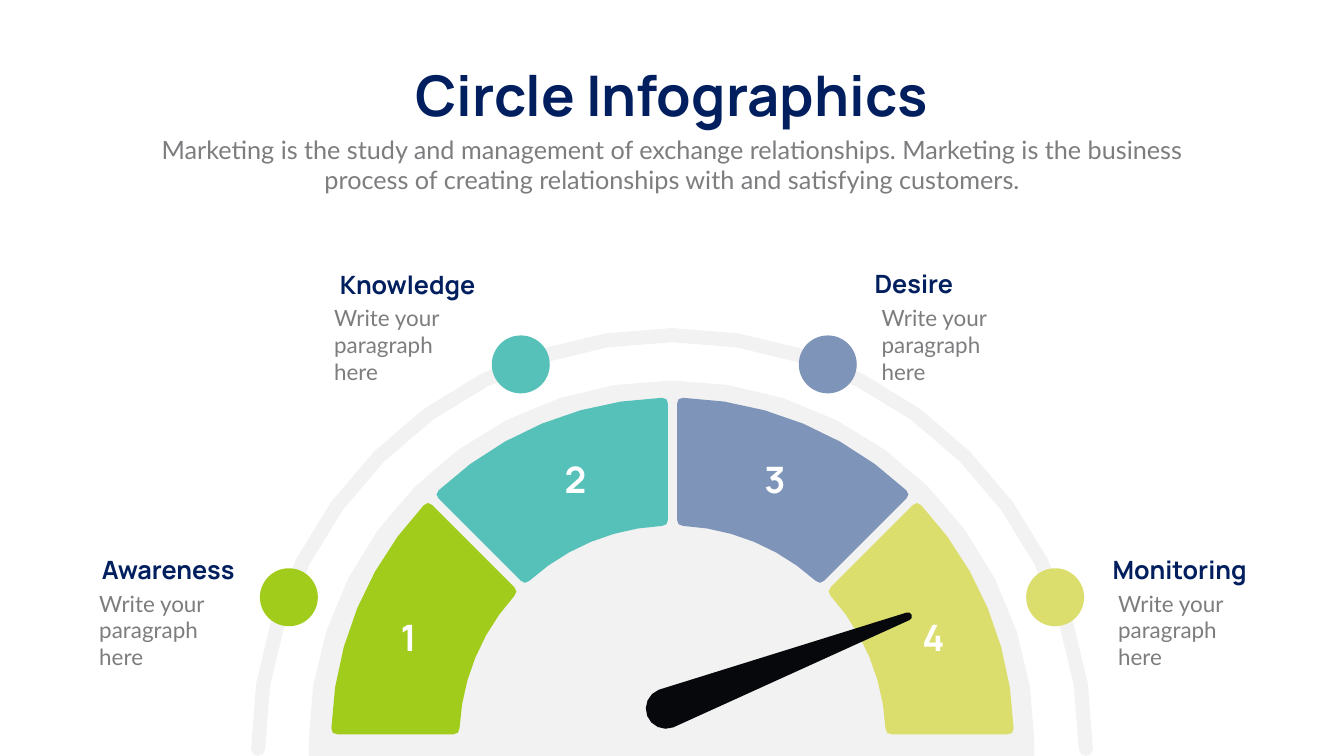
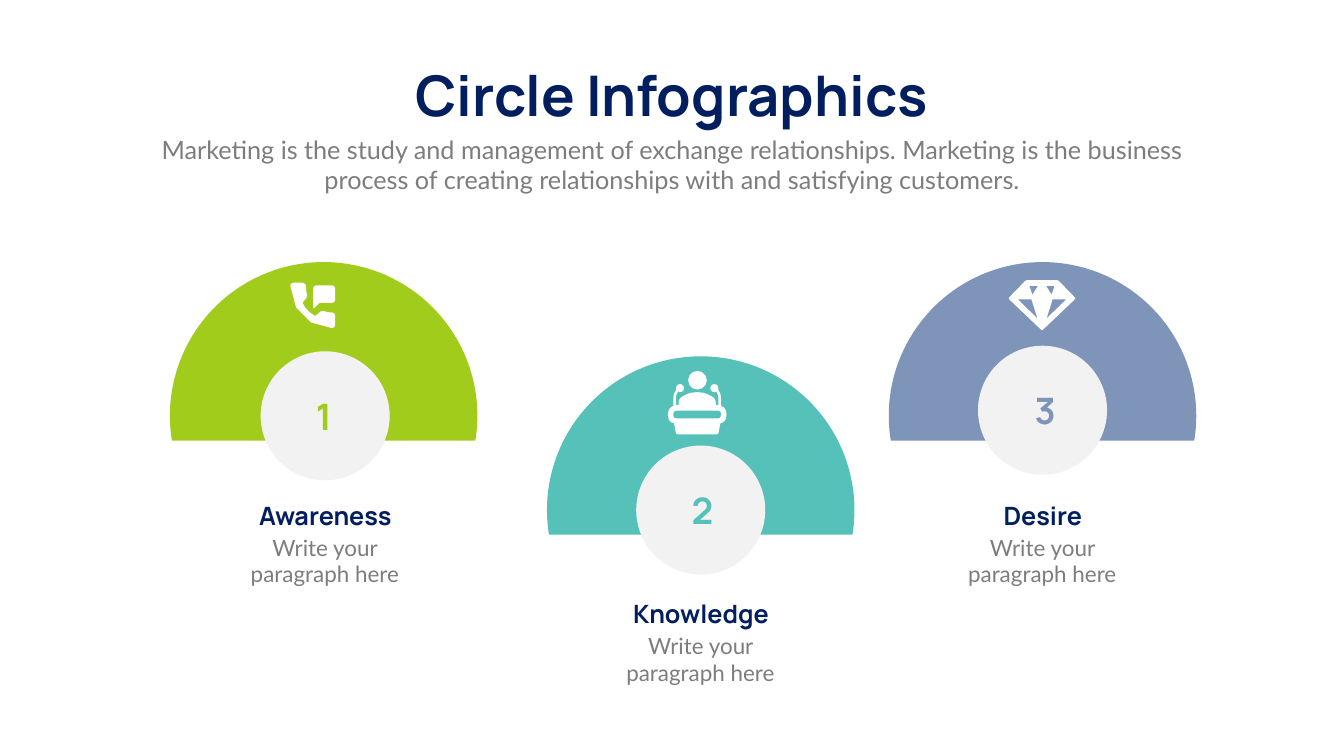
import math
from dataclasses import dataclass

import pptx
import pptx.dml.color
import pptx.enum.shapes
import pptx.enum.text
import pptx.util

Inches = pptx.util.Inches
RGBColor = pptx.dml.color.RGBColor
SHAPES = pptx.enum.shapes.MSO_SHAPE
ALIGN = pptx.enum.text.PP_ALIGN

NAVY = RGBColor(0x01, 0x1F, 0x5E)
GRAY = RGBColor(0x7E, 0x7C, 0x7F)
PALE = RGBColor(0xF2, 0xF2, 0xF2)
WHITE = RGBColor(0xFF, 0xFF, 0xFF)
INK = RGBColor(0x07, 0x08, 0x0B)
GREEN = RGBColor(0xA1, 0xCC, 0x1C)
TEAL = RGBColor(0x56, 0xC1, 0xB8)
BLUE = RGBColor(0x7E, 0x94, 0xB9)
YELLOW = RGBColor(0xDB, 0xDE, 0x6C)

HEADING_FONT = "Manrope"
BODY_FONT = "Lato"
TITLE = "Circle Infographics"
INTRO = ("Marketing is the study and management of exchange relationships. "
         "Marketing is the business process of creating relationships with "
         "and satisfying customers.")
BODY = "Write your paragraph here"

RING_CENTER = (13.33, 14.86)
RING_RADIUS = 8.21
RING_HALF_WIDTH = 0.14
DOT_SIZE = 1.15
DISC_CENTER = (13.32, 14.75)
DISC_RADIUS = 7.2
GAUGE_CENTER = (13.34, 14.66)
GAUGE_OUTER = 6.77
GAUGE_INNER = 4.23
GAUGE_HALF_GAP = 0.09
CORNER = 0.12

DOME_SIZE = 6.1
HUB_SIZE = 2.56

PODIUM_HEAD = (13.65, 7.36, 0.37, 0.37)
PODIUM_AXIS = 13.83
PODIUM_HALF = [
    (0, 7.78), (0.12, 7.78, 0.22, 7.82, 0.28, 7.86),
    (0.34, 7.88, 0.37, 7.94, 0.37, 8), (0.37, 8.04), (0.42, 8.04),
    (0.42, 7.99), (0.42, 7.89, 0.43, 7.83, 0.38, 7.77), (0.34, 7.78),
    (0.3, 7.78, 0.26, 7.75, 0.26, 7.7), (0.26, 7.66, 0.3, 7.62, 0.34, 7.62),
    (0.39, 7.62, 0.42, 7.66, 0.42, 7.7), (0.42, 7.74),
    (0.48, 7.81, 0.48, 7.89, 0.47, 8.05),
    (0.53, 8.07, 0.58, 8.13, 0.58, 8.2), (0.58, 8.25),
    (0.58, 8.33, 0.53, 8.39, 0.46, 8.4), (0.42, 8.6), (0.39, 8.62)]
SLOT_HALF = [
    (0, 8.15), (0.42, 8.15), (0.45, 8.15, 0.47, 8.17, 0.47, 8.2),
    (0.47, 8.25), (0.47, 8.28, 0.45, 8.3, 0.42, 8.3)]
HANDSET = [
    (6.58, 6.2), (6.53, 6.2, 6.47, 6.19, 6.42, 6.17),
    (6.4, 6.17, 6.37, 6.17, 6.35, 6.19), (6.25, 6.27),
    (6.13, 6.2, 6.06, 6.13, 6, 6.01), (6.07, 5.92),
    (6.09, 5.9, 6.1, 5.87, 6.09, 5.84), (6.07, 5.79, 6.07, 5.74, 6.07, 5.68),
    (6.07, 5.64, 6.03, 5.61, 5.99, 5.61), (5.83, 5.61),
    (5.79, 5.61, 5.76, 5.64, 5.76, 5.68), (5.76, 6.14, 6.13, 6.51, 6.58, 6.51),
    (6.62, 6.51, 6.65, 6.48, 6.65, 6.44), (6.65, 6.27),
    (6.65, 6.23, 6.62, 6.2, 6.58, 6.2)]
BUBBLE = [
    (6.58, 5.66), (6.28, 5.66), (6.24, 5.66, 6.21, 5.7, 6.21, 5.74),
    (6.21, 6.09), (6.21, 6.12, 6.23, 6.12, 6.25, 6.1), (6.34, 6.01),
    (6.58, 6.01), (6.62, 6.01, 6.65, 5.98, 6.65, 5.94), (6.65, 5.74),
    (6.65, 5.7, 6.62, 5.66, 6.58, 5.66)]
DIAMOND_AXIS = 20.67
DIAMOND_HALF = [
    (0.3, 5.56), (0.33, 5.57), (0.65, 5.9), (0.66, 5.92), (0.65, 5.94),
    (0.02, 6.54), (0, 6.55)]
FACETS = [
    [(0.09, 6.32), (0.21, 5.94), (0.48, 5.94)],
    [(0.08, 5.67), (0.25, 5.67), (0.19, 5.85)]]


@dataclass
class Stage:
    """One stage of the gauge, with the places of its parts."""
    name: str
    color: RGBColor
    dot: tuple
    heading: tuple
    align: ALIGN
    body: tuple
    numeral: tuple


@dataclass
class Dome:
    """One numbered dome, with the places of its parts."""
    name: str
    color: RGBColor
    center: tuple
    hub: tuple
    numeral_left: float
    heading_top: float


STAGES = [
    Stage("Awareness", GREEN, (5.73, 11.85), (1.52, 10.94), ALIGN.RIGHT,
          (1.87, 11.65), (7.54, 12.16)),
    Stage("Knowledge", TEAL, (10.33, 7.23), (6.3, 5.3), ALIGN.RIGHT,
          (6.53, 5.99), (10.85, 9.02)),
    Stage("Desire", BLUE, (16.42, 7.23), (17.25, 5.27), ALIGN.LEFT,
          (17.39, 5.99), (14.81, 9.02)),
    Stage("Monitoring", YELLOW, (20.93, 11.85), (21.97, 10.94), ALIGN.LEFT,
          (22.08, 11.65), (17.95, 12.16))]
DOMES = [
    Dome("Awareness", GREEN, (6.42, 8.25), (6.45, 8.25), 5.86, 9.87),
    Dome("Knowledge", TEAL, (13.9, 10.12), (13.9, 10.12), 13.37, 11.83),
    Dome("Desire", BLUE, (20.68, 8.25), (20.68, 8.14), 20.17, 9.87)]


def paint(shape, color):
    """Give a shape a plain fill without line or shadow."""
    shape.shadow.inherit = False
    shape.fill.solid()
    shape.fill.fore_color.rgb = color
    shape.line.fill.background()


def add_preset(page, kind, place, color):
    """Add a filled preset shape at left, top, width, height."""
    paint(page.shapes.add_shape(kind, *map(Inches, place)), color)


def add_circle(page, center, size, color):
    """Add a filled circle around a center."""
    x, y = center
    add_preset(page, SHAPES.OVAL, (x - size / 2, y - size / 2, size, size), color)


def add_outline(page, contours, color):
    """Add one filled freeform; inner contours become holes."""
    builder = None
    for contour in contours:
        points = [(Inches(x), Inches(y)) for x, y in contour]
        if builder is None:
            builder = page.shapes.build_freeform(*points[0], scale=1.0)
        else:
            builder.move_to(*points[0])
        builder.add_line_segments(points[1:], close=True)
    paint(builder.convert_to_shape(), color)


def add_text(page, text, place, size, font, color, align=ALIGN.LEFT, bold=False, wrap=True):
    """Add a text box holding one formatted paragraph."""
    box = page.shapes.add_textbox(*map(Inches, place))
    frame = box.text_frame
    frame.text = text
    frame.word_wrap = wrap
    frame.auto_size = pptx.enum.text.MSO_AUTO_SIZE.SHAPE_TO_FIT_TEXT
    para = frame.paragraphs[0]
    para.alignment = align
    span = para.runs[0]
    span.font.size = pptx.util.Pt(size)
    span.font.name = font
    span.font.bold = bold
    span.font.color.rgb = color


def add_heading(page, text, corner, align):
    """Add a stage name."""
    add_text(page, text, (*corner, 3.23, 0.71), 36, HEADING_FONT, NAVY, align, True)


def add_body(page, corner, size, align):
    """Add the short text under a stage name."""
    add_text(page, BODY, (*corner, *size), 32, BODY_FONT, GRAY, align)


def add_numeral(page, number, corner, color):
    """Add a large stage number."""
    add_text(page, str(number), (*corner, 1.13, 0.98), 52, HEADING_FONT, color,
             ALIGN.CENTER, True)


def add_page(deck):
    """Add a blank page with the shared title and introduction."""
    page = deck.slides.add_slide(deck.slide_layouts[6])
    add_text(page, TITLE, (7.74, 1.15, 11.17, 1.45), 80, HEADING_FONT, NAVY,
             ALIGN.CENTER, True, wrap=False)
    add_text(page, INTRO, (2.92, 2.61, 20.82, 1.31), 36, BODY_FONT, GRAY, ALIGN.CENTER)
    return page


def polar(center, radius, degrees):
    """Return the point at an angle counted anticlockwise from the right."""
    angle = math.radians(degrees)
    return center[0] + radius * math.cos(angle), center[1] - radius * math.sin(angle)


def arc(center, radius, start, end, steps):
    """Return points along a circular arc."""
    return [polar(center, radius, start + (end - start) * i / steps)
            for i in range(steps + 1)]


def curve(*controls, steps=3):
    """Return points along a Bezier curve of any degree."""
    degree = len(controls) - 1
    points = []
    for t in (i / steps for i in range(steps + 1)):
        weights = [math.comb(degree, k) * t ** k * (1 - t) ** (degree - k)
                   for k in range(degree + 1)]
        points.append(tuple(sum(w * c[axis] for w, c in zip(weights, controls))
                            for axis in (0, 1)))
    return points


def trace(steps):
    """Turn points and cubic curve steps into a polyline."""
    points = []
    for step in steps:
        pairs = list(zip(step[::2], step[1::2]))
        points += pairs if len(pairs) == 1 else curve(points[-1], *pairs)[1:]
    return points


def mirror(steps, axis):
    """Trace the right half of a symmetric outline and add its left half."""
    half = trace(steps)
    return [(axis + x, y) for x, y in half] + [(axis - x, y) for x, y in reversed(half) if x]


def gauge_segment(low, high):
    """Return a ring segment with parallel gaps and rounded corners."""
    def edge(radius, side, slide=0):
        inset = math.degrees(math.asin(GAUGE_HALF_GAP / radius) + slide / radius)
        return low + inset if side == "low" else high - inset

    def corner(radius, inward, side):
        return curve(polar(GAUGE_CENTER, radius, edge(radius, side, CORNER)),
                     polar(GAUGE_CENTER, radius, edge(radius, side)),
                     polar(GAUGE_CENTER, radius + inward, edge(radius + inward, side)),
                     steps=2)

    def inner_points(radius, start, end):
        return arc(GAUGE_CENTER, radius, edge(radius, start, CORNER),
                   edge(radius, end, CORNER), 6)[1:-1]

    return (inner_points(GAUGE_OUTER, "low", "high") + corner(GAUGE_OUTER, -CORNER, "high")
            + corner(GAUGE_INNER, CORNER, "high")[::-1]
            + inner_points(GAUGE_INNER, "high", "low") + corner(GAUGE_INNER, CORNER, "low")
            + corner(GAUGE_OUTER, -CORNER, "low")[::-1])


def add_gauge(page):
    """Draw the ring, disc, stages and needle."""
    x, y = RING_CENTER
    ring = (arc(RING_CENTER, RING_RADIUS + RING_HALF_WIDTH, 180, 0, 20)
            + arc((x + RING_RADIUS, y), RING_HALF_WIDTH, 0, -180, 4)[1:-1]
            + arc(RING_CENTER, RING_RADIUS - RING_HALF_WIDTH, 0, 180, 20)
            + arc((x - RING_RADIUS, y), RING_HALF_WIDTH, 0, -180, 4)[1:-1])
    add_outline(page, [ring], PALE)
    for stage in STAGES:
        add_circle(page, stage.dot, DOT_SIZE, stage.color)
    left, right = DISC_CENTER[0] - DISC_RADIUS, DISC_CENTER[0] + DISC_RADIUS
    add_outline(page, [arc(DISC_CENTER, DISC_RADIUS, 180, 0, 20) + [(right, 15), (left, 15)]], PALE)
    for index, stage in enumerate(STAGES):
        low = 135 - 45 * index
        add_outline(page, [gauge_segment(low, low + 45)], stage.color)
    needle = arc((13.21, 14.06), 0.4, 111, 291, 8) + arc((18.01, 12.23), 0.08, -69, 111, 4)
    add_outline(page, [needle], INK)
    for number, stage in enumerate(STAGES, 1):
        add_heading(page, stage.name, stage.heading, stage.align)
        add_body(page, stage.body, (2.81, 1.72), ALIGN.LEFT)
        add_numeral(page, number, stage.numeral, WHITE)


def add_dome(page, number, dome):
    """Draw one cut circle with its hub, number and texts."""
    x, y = dome.center
    hub_x, hub_y = dome.hub
    add_circle(page, dome.center, DOME_SIZE, dome.color)
    add_preset(page, SHAPES.RECTANGLE, (x - 3.26, y + 0.49, 6.52, 3.32), WHITE)
    add_circle(page, dome.hub, HUB_SIZE, PALE)
    add_numeral(page, number, (dome.numeral_left, hub_y - 0.48), dome.color)
    left = hub_x - 1.61
    add_body(page, (left, dome.heading_top + 0.67), (3.21, 1.18), ALIGN.CENTER)
    add_heading(page, dome.name, (left, dome.heading_top), ALIGN.CENTER)


def add_icons(page):
    """Draw the phone, podium and diamond icons."""
    add_preset(page, SHAPES.OVAL, PODIUM_HEAD, WHITE)
    add_outline(page, [mirror(half, PODIUM_AXIS) for half in (PODIUM_HALF, SLOT_HALF)], WHITE)
    holes = [[(DIAMOND_AXIS + side * x, y) for x, y in facet]
             for facet in FACETS for side in (1, -1)]
    add_outline(page, [mirror(DIAMOND_HALF, DIAMOND_AXIS)] + holes, WHITE)
    add_outline(page, [trace(HANDSET)], WHITE)
    add_outline(page, [trace(BUBBLE)], WHITE)


def main():
    """Build and save the deck."""
    deck = pptx.Presentation()
    deck.slide_width, deck.slide_height = Inches(26.66), Inches(15)
    add_gauge(add_page(deck))
    page = add_page(deck)
    for number, dome in enumerate(DOMES, 1):
        add_dome(page, number, dome)
    add_icons(page)
    deck.save("out.pptx")


if __name__ == "__main__":
    main()
